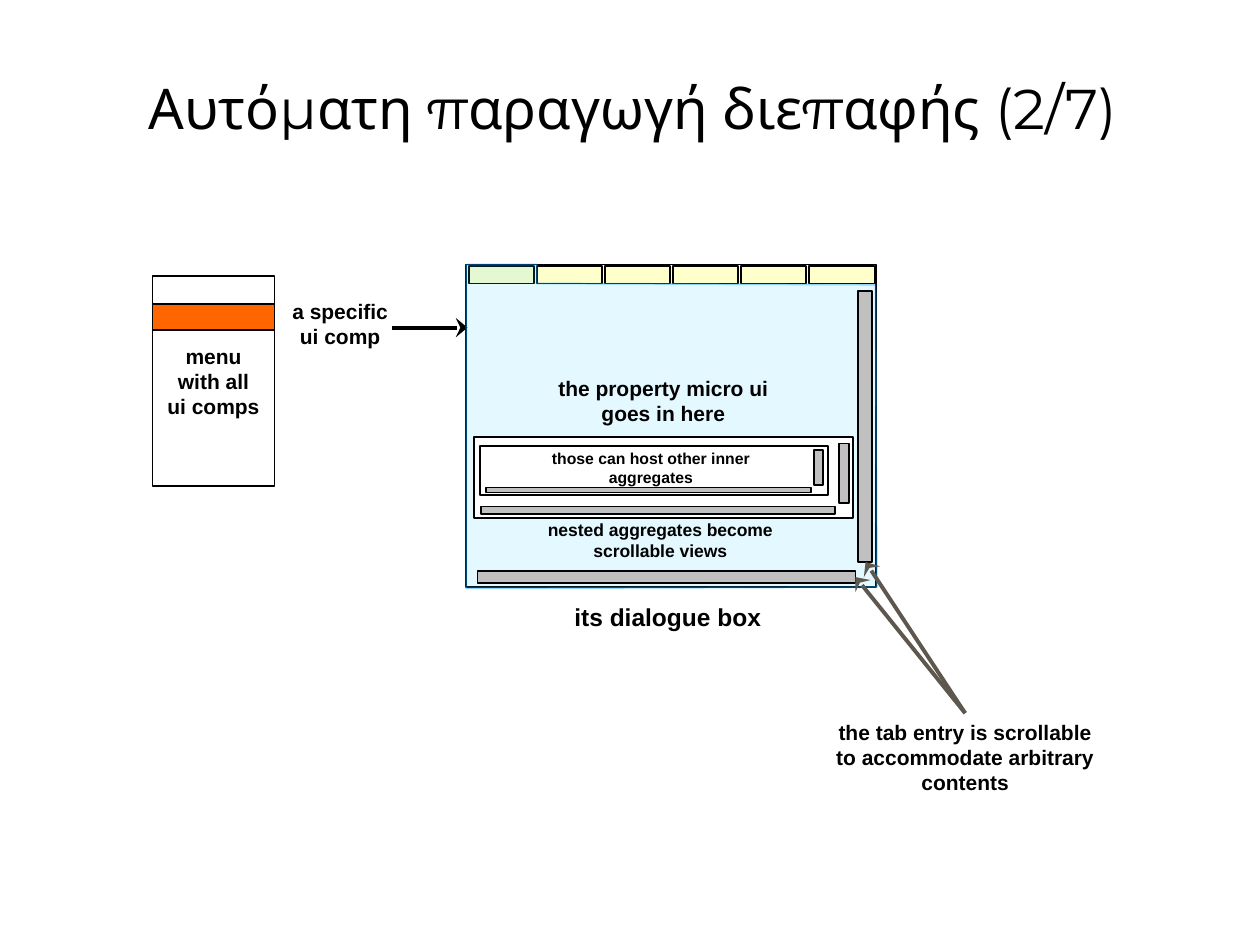
from dataclasses import dataclass

import lxml.etree
import pptx
import pptx.dml.color
import pptx.enum.shapes
import pptx.enum.text
import pptx.oxml.ns
import pptx.util

Inches = pptx.util.Inches
Pt = pptx.util.Pt
Align = pptx.enum.text.PP_ALIGN
Anchor = pptx.enum.text.MSO_ANCHOR

COLORS = {
    "black": "000000",
    "white": "FFFFFF",
    "selected": "FF6600",
    "tab": "FFFFCC",
    "scrollbar": "C0C0C0",
    "tint": "33CCFF",
    "tint_edge": "0099FF",
    "pointer": "5E574E",
}


@dataclass
class Area:
    left: float
    top: float
    width: float
    height: float

    def lengths(self) -> list:
        return [Inches(v) for v in (self.left, self.top, self.width, self.height)]


@dataclass
class View:
    """A framed area with a vertical and a horizontal scrollbar."""
    frame: Area
    vertical: Area
    horizontal: Area


def rgb(name: str) -> pptx.dml.color.RGBColor:
    return pptx.dml.color.RGBColor.from_string(COLORS[name])


def paint(shape, fill: str, line: str = "black") -> None:
    shape.shadow.inherit = False
    shape.fill.solid()
    shape.fill.fore_color.rgb = rgb(fill)
    shape.line.color.rgb = rgb(line)
    shape.line.width = Pt(1)


def add_rect(slide, area: Area, fill: str):
    shape = slide.shapes.add_shape(
        pptx.enum.shapes.MSO_SHAPE.RECTANGLE, *area.lengths())
    paint(shape, fill)
    return shape


def write(shape, text: str, size: float = 12, font: str = "Arial", bold: bool = True,
          align=Align.CENTER, anchor=Anchor.TOP, wrap: bool = False) -> None:
    frame = shape.text_frame
    frame.word_wrap = wrap
    frame.vertical_anchor = anchor
    for index, line in enumerate(text.split("\n")):
        para = frame.paragraphs[0] if index == 0 else frame.add_paragraph()
        para.alignment = align
        span = para.add_run()
        span.text = line
        span.font.name = font
        span.font.size = Pt(size)
        span.font.bold = bold
        span.font.color.rgb = rgb("black")


def add_label(slide, area: Area, text: str, **style) -> None:
    write(slide.shapes.add_textbox(*area.lengths()), text, **style)


def add_arrow(slide, start: tuple, end: tuple, color: str) -> None:
    arrow = slide.shapes.add_connector(
        pptx.enum.shapes.MSO_CONNECTOR.STRAIGHT, *[Inches(v) for v in start + end])
    arrow.line.color.rgb = rgb(color)
    arrow.line.width = Pt(2.25)
    qn = pptx.oxml.ns.qn
    lxml.etree.SubElement(arrow.line._get_or_add_ln(), qn("a:tailEnd"),
                          type="stealth", w="lg", len="med")
    lxml.etree.SubElement(arrow._element.spPr, qn("a:effectLst"))


def set_opacity(color_owner, percent: int) -> None:
    color = color_owner.find(".//" + pptx.oxml.ns.qn("a:srgbClr"))
    lxml.etree.SubElement(color, pptx.oxml.ns.qn("a:alpha"), val=str(percent * 1000))


def add_tint(slide, corners: list) -> None:
    points = [(Inches(x), Inches(y)) for x, y in corners]
    builder = slide.shapes.build_freeform(*points[0])
    builder.add_line_segments(points[1:], close=True)
    shape = builder.convert_to_shape()
    paint(shape, "tint", "tint_edge")
    properties = shape._element.spPr
    set_opacity(properties.find(pptx.oxml.ns.qn("a:solidFill")), 13)
    set_opacity(properties.find(pptx.oxml.ns.qn("a:ln")), 40)


def add_scrollbars(slide, *bars: Area) -> None:
    for bar in bars:
        add_rect(slide, bar, "scrollbar")


def add_view(slide, view: View) -> None:
    add_rect(slide, view.frame, "white")
    add_scrollbars(slide, view.vertical, view.horizontal)


def main() -> None:
    deck = pptx.Presentation()
    deck.slide_width, deck.slide_height = Inches(10), Inches(7.5)
    page = deck.slides.add_slide(deck.slide_layouts[6])

    # Title
    add_label(page, Area(1.08, 0.17, 8.92, 1), "Αυτόματη παραγωγή διεπαφής (2/7)",
              size=32, font="Montserrat", bold=False, align=Align.LEFT,
              anchor=Anchor.BOTTOM, wrap=True)

    # Component menu with its selected entry
    menu = add_rect(page, Area(1.21, 2.19, 0.97, 1.67), "white")
    write(menu, "menu\nwith all\nui comps", anchor=Anchor.MIDDLE)
    add_rect(page, Area(1.21, 2.41, 0.97, 0.21), "selected")
    add_label(page, Area(2.22, 2.32, 0.96, 0.5), "a specific\nui comp")

    # Dialogue box with a row of tabs
    add_rect(page, Area(3.7, 2.1, 3.25, 2.56), "white")
    add_label(page, Area(4.46, 4.73, 1.69, 0.33), "its dialogue box",
              size=14, align=Align.LEFT)
    add_arrow(page, (3.11, 2.6), (3.71, 2.6), "black")
    for index in range(6):
        add_rect(page, Area(3.72 + index * 0.54, 2.11, 0.52, 0.14), "tab")

    # Tinted page of the open tab
    add_tint(page, [(3.7, 2.1), (3.7, 4.67), (6.96, 4.66), (6.95, 2.26),
                    (4.26, 2.25), (4.26, 2.1)])
    add_label(page, Area(4.33, 2.93, 1.87, 0.5), "the property micro ui\ngoes in here")

    # Scrollbars of the tab and the note pointing at them
    add_scrollbars(page, Area(6.81, 2.31, 0.11, 2.15), Area(3.79, 4.53, 3, 0.1))
    add_label(page, Area(6.49, 5.66, 2.34, 0.7),
              "the tab entry is scrollable to accommodate arbitrary contents", wrap=True)
    for target in ((6.87, 4.46), (6.79, 4.58)):
        add_arrow(page, (7.66, 5.66), target, "pointer")

    # Nested scrollable views
    add_view(page, View(Area(3.76, 3.47, 3.01, 0.64), Area(6.66, 3.52, 0.08, 0.47),
                        Area(3.82, 4.02, 2.81, 0.06)))
    add_label(page, Area(4.04, 4.07, 2.4, 0.44),
              "nested aggregates become scrollable views", size=10, wrap=True)
    add_view(page, View(Area(3.81, 3.54, 2.76, 0.39), Area(6.46, 3.57, 0.07, 0.28),
                        Area(3.86, 3.87, 2.58, 0.04)))
    add_label(page, Area(4.12, 3.51, 2.09, 0.4),
              "those can host other inner aggregates", size=9, wrap=True)

    deck.save("out.pptx")


if __name__ == "__main__":
    main()
